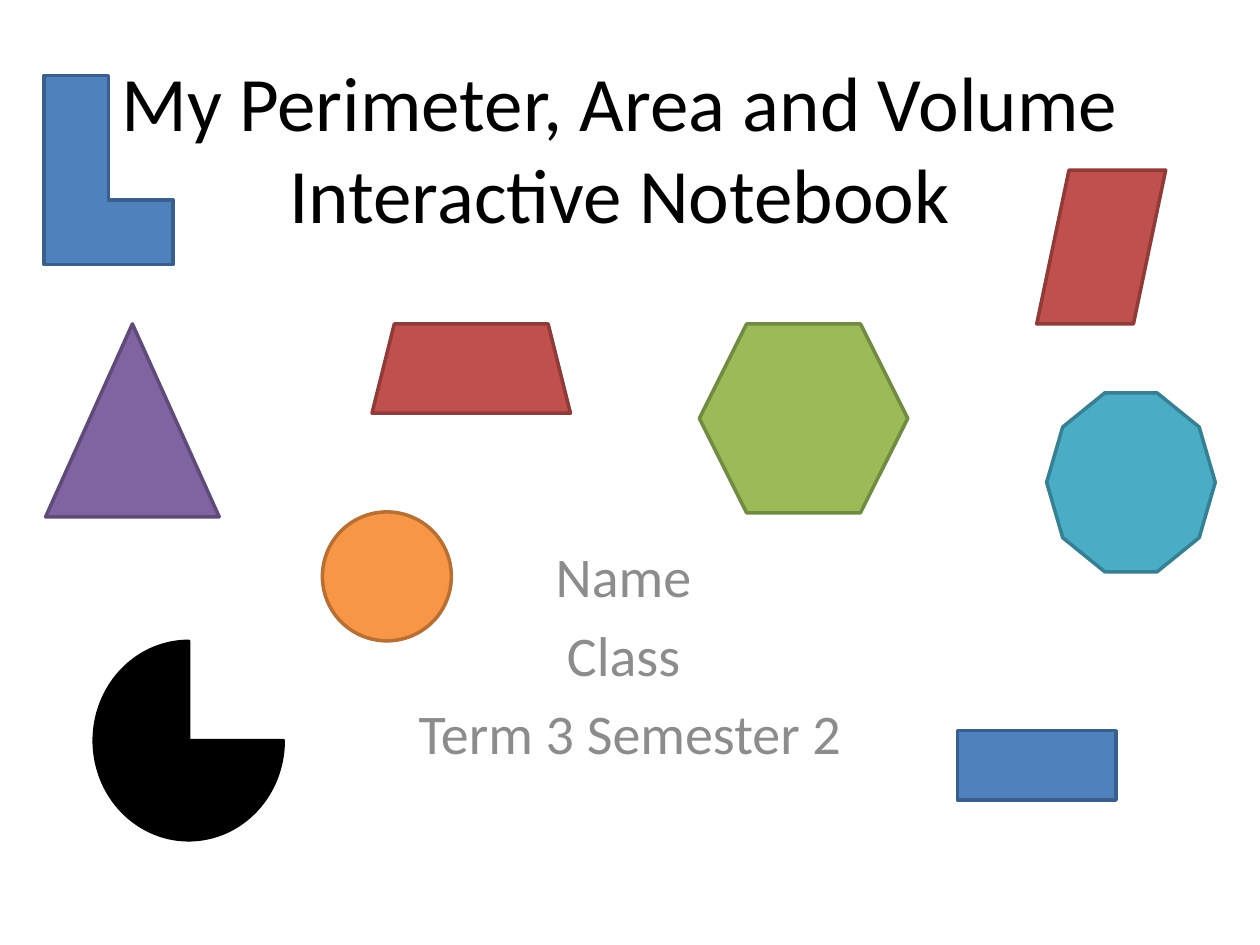
from dataclasses import dataclass

from pptx import Presentation
from pptx.dml.color import RGBColor
from pptx.enum.shapes import MSO_SHAPE
from pptx.enum.text import MSO_ANCHOR, PP_ALIGN
from pptx.util import Cm, Pt

CENTER = PP_ALIGN.CENTER
TOP, MIDDLE = MSO_ANCHOR.TOP, MSO_ANCHOR.MIDDLE

FONT = "Calibri"
BLACK = RGBColor(0x00, 0x00, 0x00)
GRAY = RGBColor(0x8C, 0x8C, 0x8C)
BLUE, NAVY = RGBColor(0x4F, 0x81, 0xBD), RGBColor(0x3A, 0x5F, 0x8C)
RED, MAROON = RGBColor(0xC0, 0x50, 0x4D), RGBColor(0x8E, 0x3B, 0x39)
GREEN, OLIVE = RGBColor(0x9B, 0xBB, 0x59), RGBColor(0x73, 0x8A, 0x42)
PURPLE, PLUM = RGBColor(0x80, 0x64, 0xA2), RGBColor(0x5F, 0x4A, 0x78)
AQUA, TEAL = RGBColor(0x4B, 0xAC, 0xC6), RGBColor(0x37, 0x7F, 0x92)
ORANGE, BROWN = RGBColor(0xF7, 0x96, 0x46), RGBColor(0xB7, 0x6F, 0x34)

ROW = 6.53  # shared top of the middle row, in cm


@dataclass(frozen=True)
class Figure:
    kind: MSO_SHAPE
    left: float
    top: float
    width: float
    height: float
    fill: RGBColor
    line: RGBColor


FIGURES = [
    Figure(MSO_SHAPE.ISOSCELES_TRIANGLE, 0.92, ROW, 3.5, 3.89, PURPLE, PLUM),
    Figure(MSO_SHAPE.TRAPEZOID, 7.5, ROW, 4, 1.8, RED, MAROON),
    Figure(MSO_SHAPE.HEXAGON, 14.1, ROW, 4.2, 3.81, GREEN, OLIVE),
    Figure(MSO_SHAPE.DECAGON, 21.1, 7.92, 3.4, 3.61, AQUA, TEAL),
    Figure(MSO_SHAPE.PIE, 1.9, 12.93, 3.81, 4, BLACK, BLACK),
    Figure(MSO_SHAPE.RECTANGLE, 19.3, 14.73, 3.2, 1.4, BLUE, NAVY),
    Figure(MSO_SHAPE.CORNER, 0.89, 1.52, 2.6, 3.81, BLUE, NAVY),
    Figure(MSO_SHAPE.PARALLELOGRAM, 20.9, 3.43, 2.6, 3.1, RED, MAROON),
    Figure(MSO_SHAPE.OVAL, 6.5, 10.32, 2.6, 2.6, ORANGE, BROWN),
]


def write(box, lines: list[str], *, size: float, color: RGBColor,
          anchor: MSO_ANCHOR, gap: float = 0) -> None:
    """Fill a box with centred paragraphs, gap points apart."""
    frame = box.text_frame
    frame.word_wrap = True
    frame.vertical_anchor = anchor
    frame.text = "\n".join(lines)
    for i, para in enumerate(frame.paragraphs):
        para.alignment = CENTER
        para.space_before = Pt(gap if i else 0)
        para.font.name = FONT
        para.font.size = Pt(size)
        para.font.color.rgb = color


def draw(slide, fig: Figure) -> None:
    shape = slide.shapes.add_shape(
        fig.kind, Cm(fig.left), Cm(fig.top), Cm(fig.width), Cm(fig.height))
    shape.shadow.inherit = False
    shape.fill.solid()
    shape.fill.fore_color.rgb = fig.fill
    shape.line.color.rgb = fig.line
    shape.line.width = Pt(2)


def main() -> None:
    deck = Presentation()
    deck.slide_width, deck.slide_height = Cm(25.4), Cm(19.05)
    slide = deck.slides.add_slide(deck.slide_layouts[5])

    # Title
    title = slide.shapes.title
    title.left, title.top = Cm(1.7), Cm(0.91)
    title.width, title.height = Cm(21.59), Cm(4.09)
    write(title, ["My Perimeter, Area and Volume Interactive Notebook"],
          size=44, color=BLACK, anchor=MIDDLE)

    # Student details
    details = slide.shapes.add_textbox(Cm(3.81), Cm(10.8), Cm(17.78), Cm(4.87))
    write(details, ["Name ", "Class ", "Term 3 Semester 2"],
          size=32, color=GRAY, anchor=TOP, gap=6.4)

    # Geometric figures
    for fig in FIGURES:
        draw(slide, fig)

    deck.save("out.pptx")


if __name__ == "__main__":
    main()
